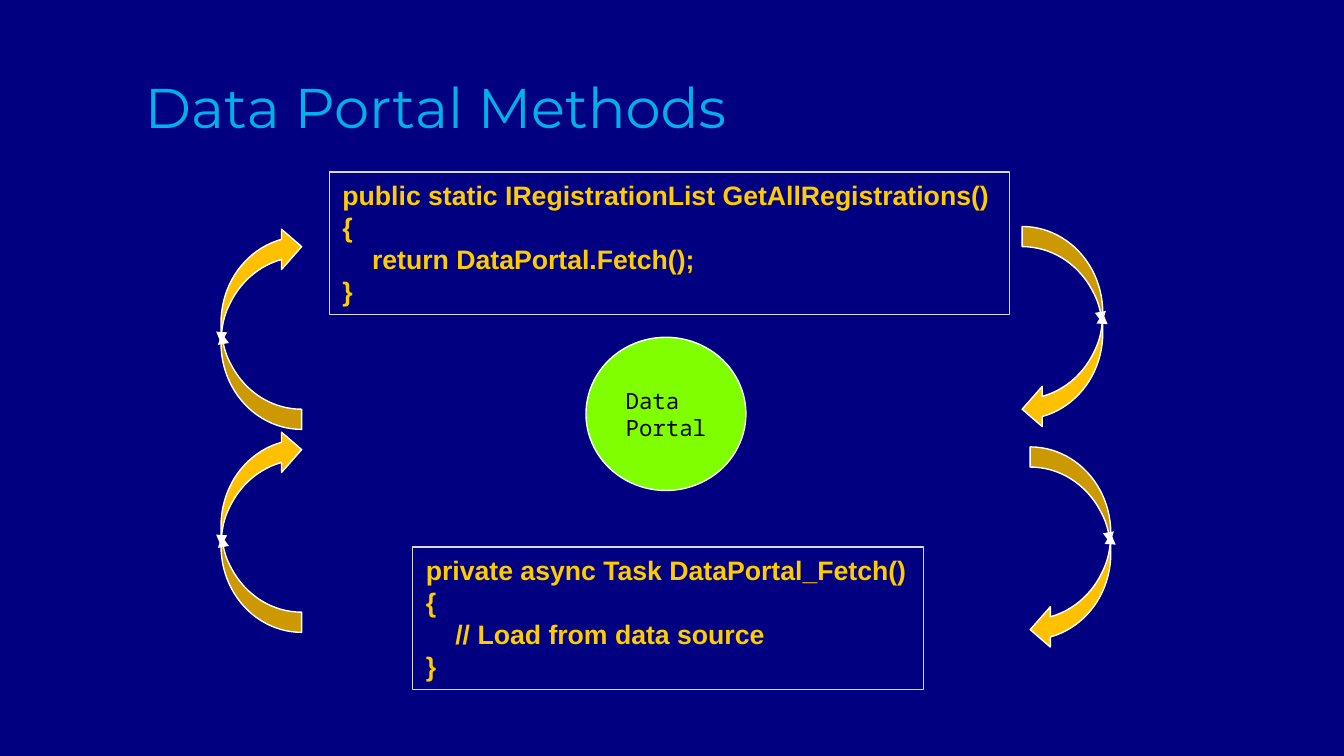
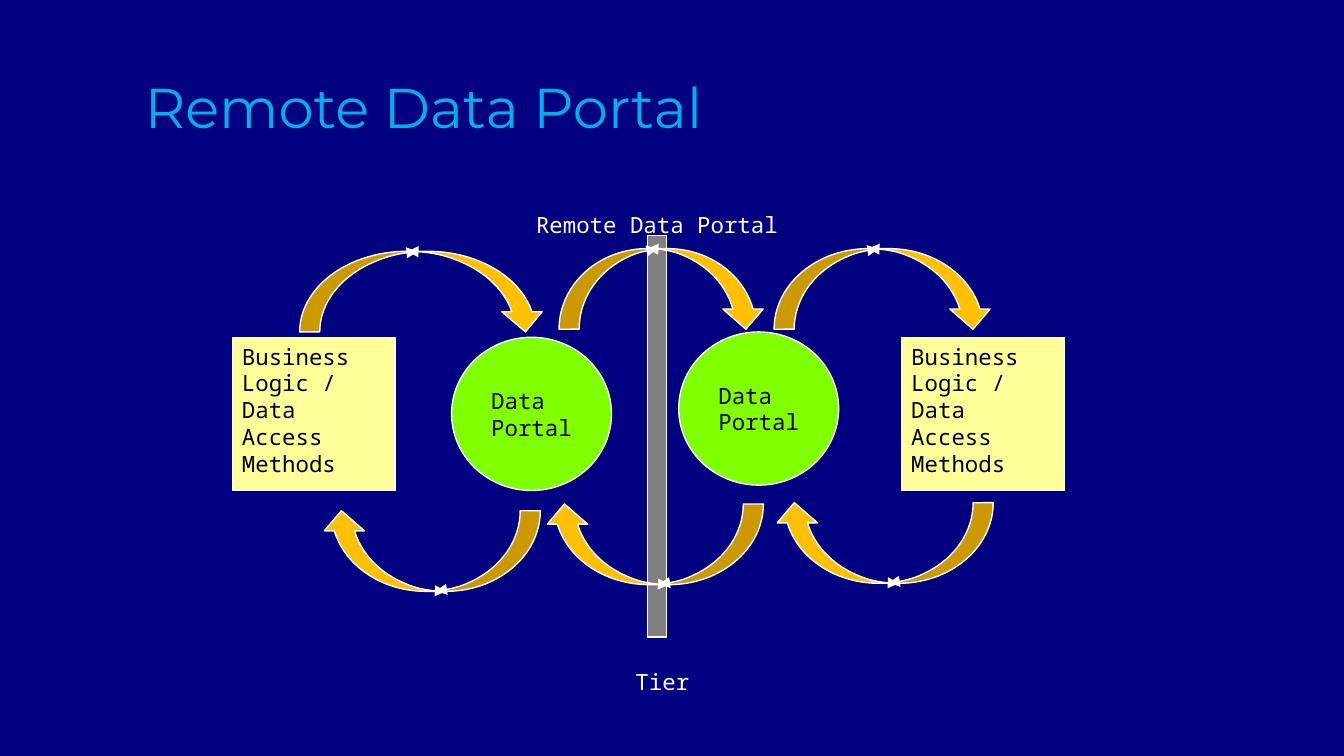
from pptx import Presentation
from pptx.dml.color import RGBColor as Rgb
from pptx.enum.shapes import MSO_SHAPE as Kind
from pptx.enum.text import MSO_ANCHOR as Anchor, MSO_AUTO_SIZE as Fit, PP_ALIGN as Align
from pptx.util import Inches, Pt
from lxml import etree

HUE = {
    "back": "000080", "title": "00B0EB", "code": "FFCC00", "frame": "D9D9D9",
    "portal": "80FF00", "logic": "FFFF99", "arrow": "FFC000", "tier": "808080",
    "white": "FFFFFF", "black": "000000",
}
MONO = "Noto Sans Mono"
NS = "{http://schemas.openxmlformats.org/drawingml/2006/main}"
TIGHT = (0.07, 0.04)
ROOMY = (0.1, 0.05)


def color(name):
    return Rgb.from_string(HUE[name])


def write(shape, lines, size=12, font=MONO, hue="black", bold=False,
          inset=TIGHT, anchor=Anchor.TOP, wrap=True, center=False, indent=()):
    """Fill a shape with one paragraph a line; indent lists the shifted lines."""
    frame = shape.text_frame
    frame.word_wrap = wrap
    frame.auto_size = Fit.NONE if wrap else Fit.SHAPE_TO_FIT_TEXT
    frame.vertical_anchor = anchor
    frame.margin_left = frame.margin_right = Inches(inset[0])
    frame.margin_top = frame.margin_bottom = Inches(inset[1])
    if center:  # centre the block, keep its lines left-aligned
        frame._txBody.bodyPr.set("anchorCtr", "1")
    for i, line in enumerate(lines):
        para = frame.paragraphs[0] if i == 0 else frame.add_paragraph()
        para.alignment = Align.LEFT
        if i in indent:
            para._p.get_or_add_pPr().set("marL", str(Inches(0.22)))
        run = para.add_run()
        run.text = line
        run.font.size, run.font.name, run.font.bold = Pt(size), font, bold
        run.font.color.rgb = color(hue)


def label(slide, box, text, **form):
    area = slide.shapes.add_textbox(*map(Inches, box))
    write(area, [text], inset=ROOMY, **form)


def draw(slide, kind, box, fill=None, line="white", heads=True):
    shape = slide.shapes.add_shape(kind, *map(Inches, box))
    shape.shadow.inherit = False
    if fill:
        shape.fill.solid()
        shape.fill.fore_color.rgb = color(fill)
    else:
        shape.fill.background()
    shape.line.color.rgb = color(line)
    shape.line.width = Pt(0.75)
    if heads:
        stroke = shape.line._get_or_add_ln()
        for end in ("headEnd", "tailEnd"):
            etree.SubElement(stroke, NS + end).set("type", "triangle")
    return shape


def portal(slide, left, top):
    disc = draw(slide, Kind.OVAL, (left, top, 1.19, 1.14), "portal")
    write(disc, ["Data Portal"], anchor=Anchor.MIDDLE, center=True)


def logic(slide, left, top):
    card = draw(slide, Kind.RECTANGLE, (left, top, 1.21, 1.14), "logic")
    write(card, ["Business Logic /", "Data Access Methods"])


def code(slide, box, head, body):
    frame = draw(slide, Kind.RECTANGLE, box, line="frame", heads=False)
    write(frame, [head, "{", body, "}"], size=14.25, font="Arial", hue="code",
          bold=True, inset=ROOMY, wrap=False, indent=(2,))


def arc(slide, left, top, width, turn=0):
    arrow = draw(slide, Kind.CURVED_DOWN_ARROW, (left, top, width, 0.6), "arrow")
    arrow.rotation = turn


def start(deck, title):
    slide = deck.slides.add_slide(deck.slide_layouts[6])
    slide.background.fill.solid()
    slide.background.fill.fore_color.rgb = color("back")
    label(slide, (0.98, 0.11, 8.06, 0.98), title, size=30, font="Montserrat",
          hue="title", anchor=Anchor.BOTTOM)
    return slide


def methods(deck):
    slide = start(deck, "Data Portal Methods")
    # Caller above, portal between, data access below
    code(slide, (2.45, 1.28, 5.06, 1.06),
         "public static IRegistrationList GetAllRegistrations()",
         "return DataPortal.Fetch();")
    portal(slide, 4.36, 2.51)
    code(slide, (3.07, 4.07, 3.8, 1.06),
         "private async Task DataPortal_Fetch()", "// Load from data source")
    # Calls go down on the right, results come up on the left
    for left, top, turn in ((7.15, 2.14, 90), (7.21, 3.78, 90),
                            (1.19, 3.65, 270), (1.19, 2.14, 270)):
        arc(slide, left, top, 1.51, turn)


def remote(deck):
    slide = start(deck, "Remote Data Portal")
    # Tier border
    draw(slide, Kind.RECTANGLE, (4.82, 1.75, 0.14, 2.99), "tier")
    label(slide, (3.89, 1.52, 2.03, 0.3), "Remote Data Portal",
          hue="white", wrap=False)
    label(slide, (4.63, 4.92, 0.61, 0.3), "Tier", hue="white", wrap=False)
    # Both sides of the border
    for left in (1.73, 6.71):
        logic(slide, left, 2.51)
    portal(slide, 3.36, 2.51)
    portal(slide, 5.05, 2.47)
    # Requests above, replies below
    for left, top, width in ((2.23, 1.87, 1.83), (4.16, 1.85, 1.54),
                             (5.76, 1.85, 1.63)):
        arc(slide, left, top, width)
    for left, top in ((5.76, 3.74), (4.05, 3.75), (2.39, 3.8)):
        arc(slide, left, top, 1.63, 180)


deck = Presentation()
deck.slide_width = Inches(10)
deck.slide_height = Inches(10 * 9 / 16)
methods(deck)
remote(deck)
deck.save("out.pptx")
